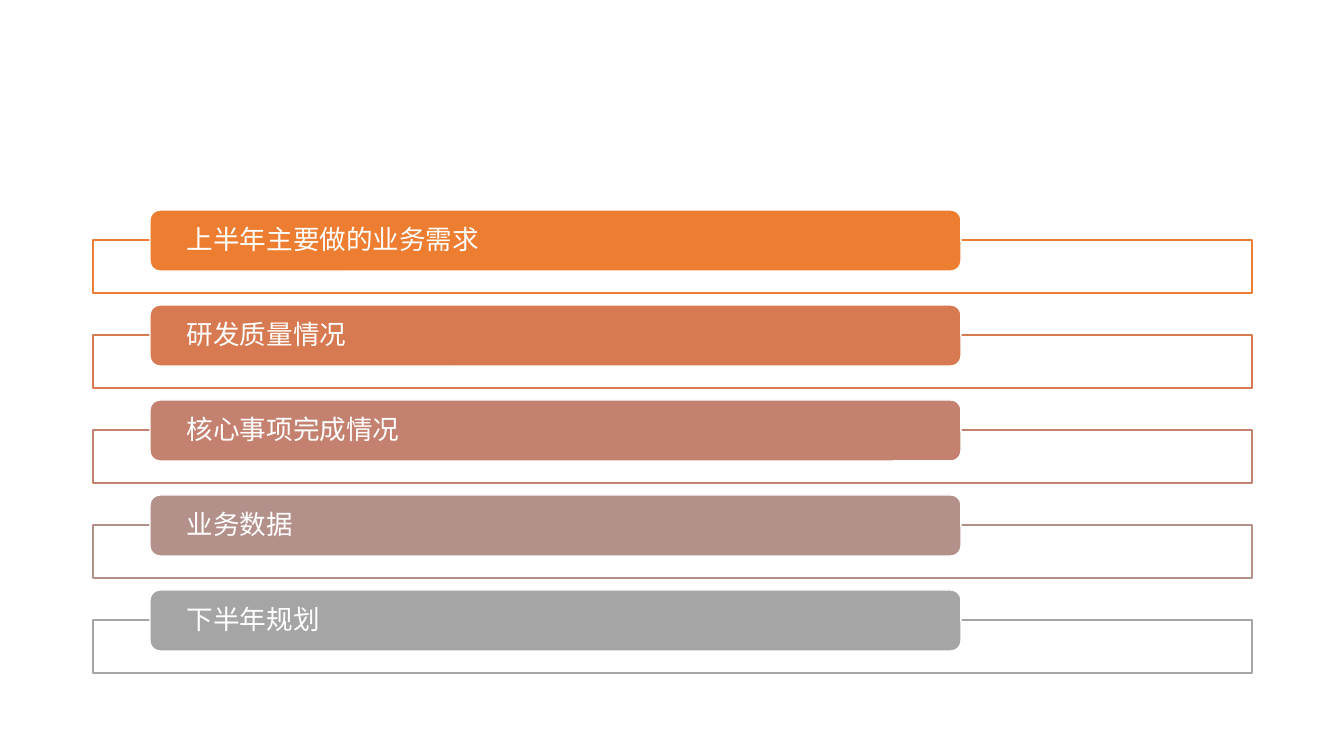
from pptx import Presentation
from pptx.dml.color import RGBColor
from pptx.enum.shapes import MSO_SHAPE as Shape
from pptx.enum.text import MSO_ANCHOR as Anchor, PP_ALIGN as Align
from pptx.oxml.ns import qn
from pptx.util import Emu, Pt
from lxml import etree

FONT = "Noto Sans CJK SC"
WHITE = RGBColor(0xFF, 0xFF, 0xFF)
ORANGE = RGBColor(0xED, 0x7D, 0x31)
COPPER = RGBColor(0xD8, 0x7A, 0x51)
CLAY = RGBColor(0xC4, 0x81, 0x70)
MAUVE = RGBColor(0xB4, 0x90, 0x8B)
GRAY = RGBColor(0xA5, 0xA5, 0xA5)

AGENDA = [
    ("上半年主要做的业务需求", ORANGE),
    ("研发质量情况", COPPER),
    ("核心事项完成情况", CLAY),
    ("业务数据", MAUVE),
    ("下半年规划", GRAY),
]
FIRST_TOP = 210
ROW_PITCH = 95


def px(length):
    return Emu(round(length * 914400 / 100.8))


def add_panel(page, kind, bounds, fill, line):
    panel = page.shapes.add_shape(kind, *[px(length) for length in bounds])
    panel.shadow.inherit = False
    panel.fill.solid()
    panel.fill.fore_color.rgb = fill
    panel.line.color.rgb = line
    panel.line.width = Pt(1)
    return panel


deck = Presentation()
deck.slide_width = px(1344)
deck.slide_height = px(756)
page = deck.slides.add_slide(deck.slide_layouts[6])

for row, (topic, color) in enumerate(AGENDA):
    top = FIRST_TOP + row * ROW_PITCH
    add_panel(page, Shape.RECTANGLE, (93, top + 30, 1159, 53), WHITE, color)
    label = add_panel(page, Shape.ROUNDED_RECTANGLE, (150, top, 811, 61), color, WHITE)

    frame = label.text_frame
    frame.word_wrap = True
    frame.vertical_anchor = Anchor.MIDDLE
    frame.margin_left = frame.margin_right = px(34)
    frame.margin_top = frame.margin_bottom = 0
    frame.text = topic

    para = frame.paragraphs[0]
    para.alignment = Align.LEFT
    para.line_spacing = 0.9
    para.space_after = Pt(7)
    span = para.runs[0]
    span.font.size = Pt(19)
    span.font.name = FONT
    span.font.color.rgb = WHITE
    etree.SubElement(span.font._element, qn("a:ea"), typeface=FONT)

deck.save("out.pptx")
